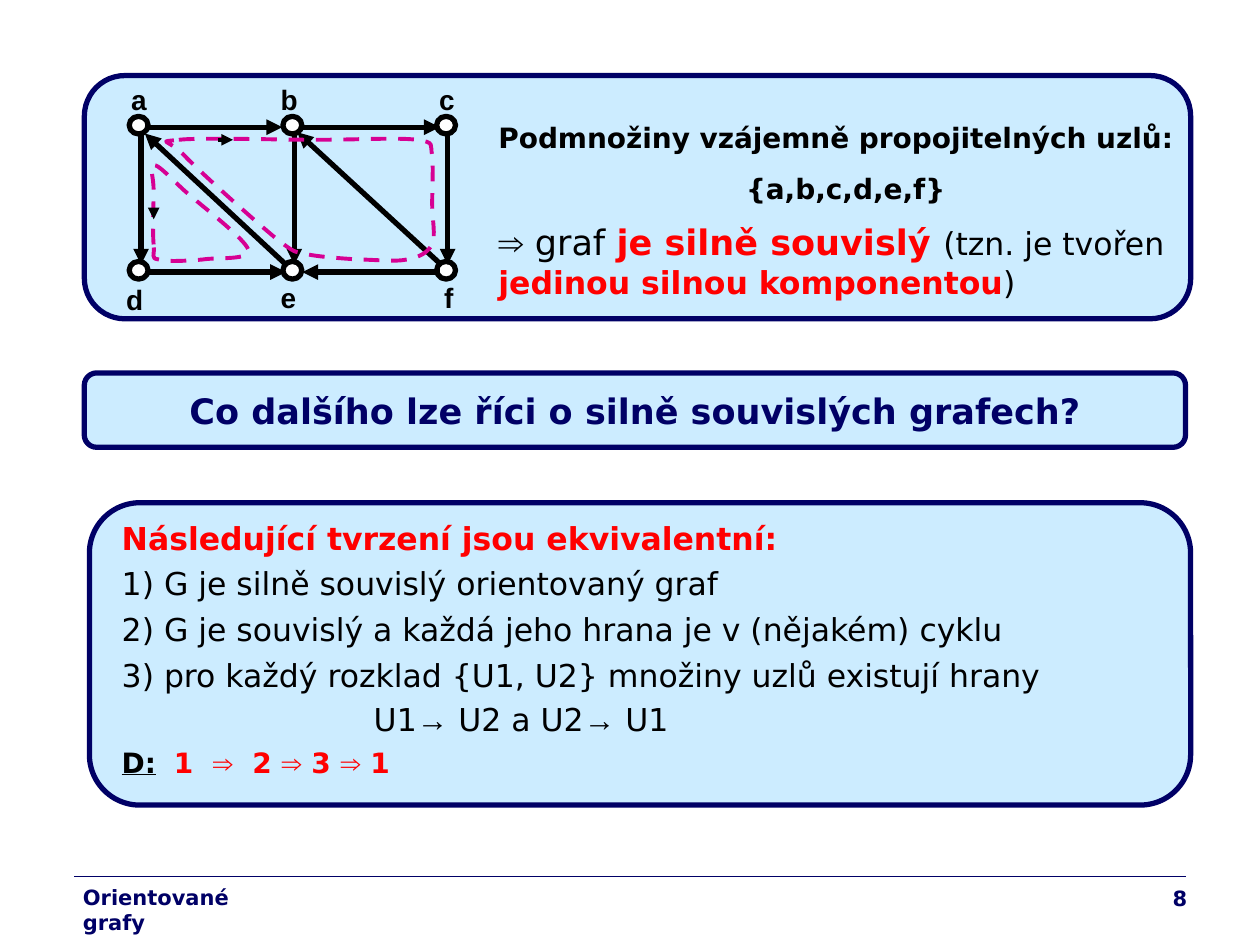
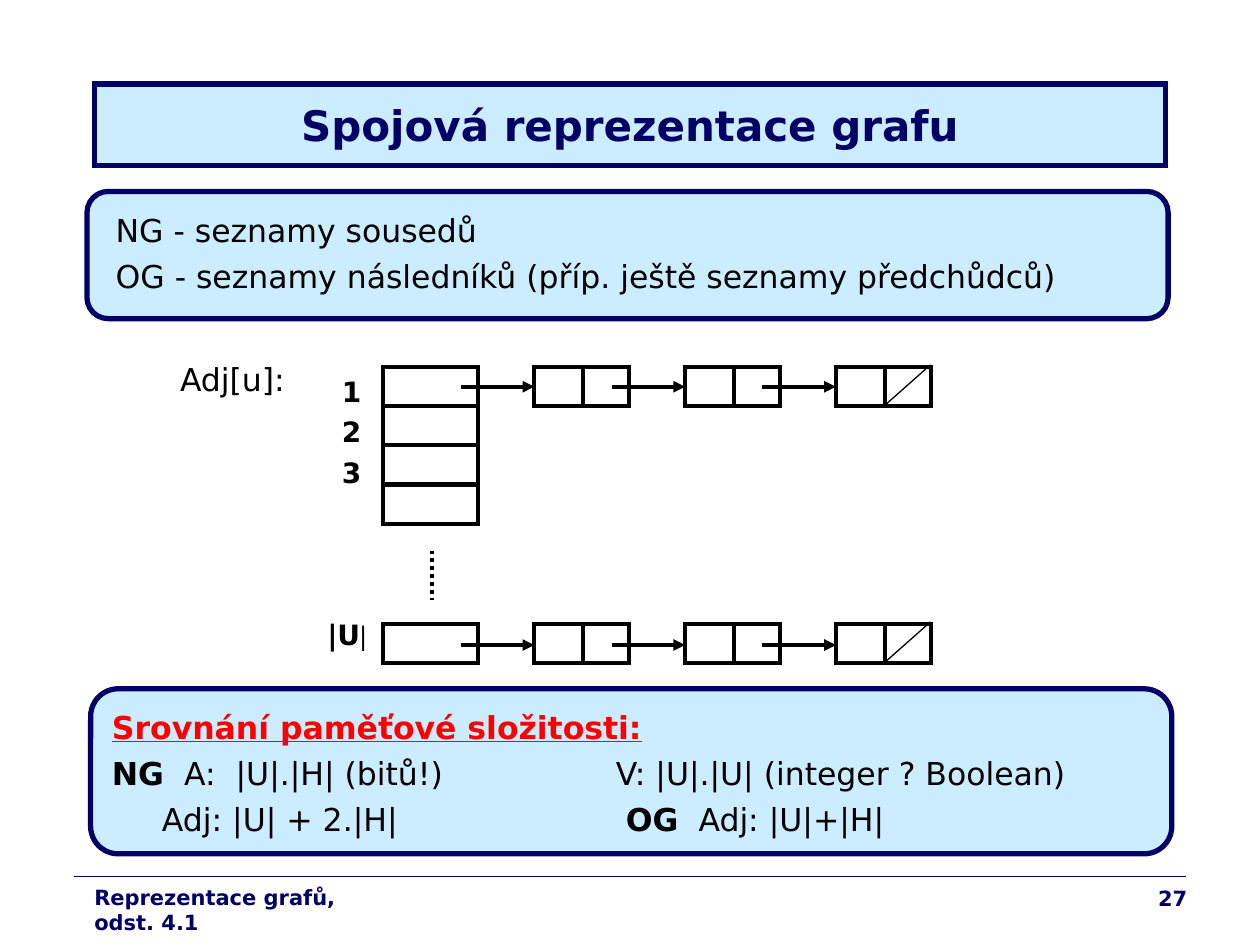
import pptx
import pptx.dml.color
import pptx.enum.dml
import pptx.enum.shapes
import pptx.enum.text
import pptx.oxml.ns
import pptx.util
from lxml import etree

Pt = pptx.util.Pt
PRESET = pptx.enum.shapes.MSO_SHAPE
ALIGN = pptx.enum.text.PP_ALIGN
DASH = pptx.enum.dml.MSO_LINE
qn = pptx.oxml.ns.qn

COLORS = {"navy": "000066", "sky": "CCECFF", "black": "000000",
          "white": "FFFFFF", "red": "FF0000", "magenta": "D60093"}
RGB = {name: pptx.dml.color.RGBColor.from_string(code) for name, code in COLORS.items()}
SANS = "DejaVu Sans"

# Text formats
BODY = {"size": Pt(18), "name": SANS, "color": "black", "bold": False}
BOLD = {"bold": True}
RED = {"bold": True, "color": "red"}
ARIAL = {"name": "Arial"}
SMALL = {"size": Pt(16)}
FOOTER = {**BODY, "size": Pt(12), "color": "navy", "bold": True}


def write(slide, box, paragraphs, base=BODY):
    """Each paragraph: its runs (text, format), space before, alignment, tab stops."""
    frame = slide.shapes.add_textbox(*map(Pt, box)).text_frame
    frame.word_wrap = True
    for number, (runs, before, align, stops) in enumerate(paragraphs):
        paragraph = frame.add_paragraph() if number else frame.paragraphs[0]
        paragraph.space_before, paragraph.alignment = Pt(before), align
        if stops:
            tab_list = etree.SubElement(paragraph._p.get_or_add_pPr(), qn("a:tabLst"))
            for stop in stops:
                etree.SubElement(tab_list, qn("a:tab"), pos=str(Pt(stop)), algn="l")
        for text, changes in runs:
            run = paragraph.add_run()
            run.text = text
            for key, value in {**base, **changes}.items():
                if key == "color":
                    run.font.color.rgb = RGB[value]
                else:
                    setattr(run.font, key, value)


def draw_line(slide, ends, width=2.25, color="black", arrow=False, dash=None):
    line = slide.shapes.add_connector(pptx.enum.shapes.MSO_CONNECTOR.STRAIGHT, *map(Pt, ends))
    line.line.color.rgb = RGB[color]
    line.line.width = Pt(width)
    if dash:
        line.line.dash_style = dash
    if arrow:
        etree.SubElement(line.line._get_or_add_ln(), qn("a:tailEnd"), type="triangle")
    etree.SubElement(line._element.spPr, qn("a:effectLst"))
    return line


deck = pptx.Presentation()
deck.slide_width, deck.slide_height = Pt(720), Pt(540)
connectivity = deck.slides.add_slide(deck.slide_layouts[6])
adjacency = deck.slides.add_slide(deck.slide_layouts[5])

# Footer rule, moved to the slide master so that both slides share it
footer_rule = draw_line(connectivity, (42.5, 500.9, 677.5, 500.9), 0.75, "navy")
deck.slide_master.shapes._spTree.append(footer_rule._element)

# Grids: graph nodes a-f and the linked-list cells
node_boxes = [(73.8 + 87.85 * col, top, 10.8, 10.1) for top in (66.5, 149.4) for col in range(3)]
list_rows = ((209.5, 221), (356.4, 368.6))
cell_boxes = [(218.9 + 86.3 * col, top, 54.2, 22.3) for top, _ in list_rows for col in range(4)]
cell_boxes += [(218.9, 209.5 + 22.5 * row, 54.2, 22.3) for row in (1, 2, 3)]

# Outlined shapes: slide, preset, box, fill, outline, outline width
outlined = [(slide, PRESET.ROUNDED_RECTANGLE, box, "sky", "navy", 3) for slide, box in (
    (connectivity, (48.2, 43.2, 632.2, 139)),
    (connectivity, (48.2, 213.1, 629.3, 42.5)),
    (connectivity, (51.1, 287.3, 629.3, 172.8)),
    (adjacency, (49.7, 109.4, 617.8, 72.7)),
    (adjacency, (51.8, 393.6, 617.8, 94.3)),
)]
outlined += [(connectivity, PRESET.OVAL, box, "white", "black", 3) for box in node_boxes]
outlined += [(adjacency, PRESET.RECTANGLE, box, None, "black", 2.25) for box in cell_boxes]
for slide, preset, box, fill, outline, width in outlined:
    shape = slide.shapes.add_shape(preset, *map(Pt, box))
    shape.shadow.inherit = False
    if fill:
        shape.fill.solid()
        shape.fill.fore_color.rgb = RGB[fill]
    else:
        shape.fill.background()
    shape.line.color.rgb = RGB[outline]
    shape.line.width = Pt(width)
    if preset == PRESET.RECTANGLE:
        etree.SubElement(shape.line._get_or_add_ln(), qn("a:miter"), lim="800000")

# Footers
for slide, left, width, topic, page in (
    (connectivity, 40.3, 124.6, "Orientované grafy", "8"),
    (adjacency, 46.8, 187.9, "Reprezentace grafů, odst. 4.1", "27"),
):
    write(slide, (left, 501.8, width, 21.6), [([(topic, {})], 3, None, None)], FOOTER)
    write(slide, (535.7, 502.6, 149.8, 25.9), [([(page, {})], 0, ALIGN.RIGHT, None)], FOOTER)

# Graph edges
for ends in (
    (82.8, 72.7, 161.3, 72.7), (172.8, 72.7, 251.3, 72.7),
    (85, 155.5, 163.4, 155.5), (251.3, 155.5, 172.8, 155.5),
    *[(80.6 + 87.6 * col, 76.3, 80.6 + 87.6 * col, 151.2) for col in range(3)],
    (163.4, 151.2, 82.8, 76.3), (251.3, 150.5, 169.9, 75.6),
):
    draw_line(connectivity, ends, 3, arrow=True)

# Node labels
for name, left, top in (("a", 67.9, 43.5), ("b", 153.2, 43.5), ("c", 243.8, 43.5),
                        ("d", 65, 157.7), ("e", 153.2, 157), ("f", 246.7, 157)):
    write(connectivity, (left, top, 25.2, 26.6),
          [([(name, {**SMALL, **ARIAL, **BOLD})], 10, None, None)])

# Dashed cycles: a start point, then Bézier curves (two controls and an end)
cycles = (
    ((102.2, 79.9), (
        (114.5, 78.5, 158.4, 79.9, 181.4, 79.9), (203.8, 79.9, 227.5, 78.5, 238.3, 79.9),
        (249.1, 81.4, 245.5, 82.8, 247, 88.6), (247.7, 95, 247, 108.7, 247, 116.6),
        (247, 125.3, 249.1, 134.6, 247, 139.7), (244.1, 144.7, 239.8, 146.9, 232.6, 148.3),
        (225.4, 149.8, 213.8, 148.3, 204.5, 148.3), (194.4, 147.6, 183.6, 146.9, 175.7, 145.4),
        (168.5, 143.3, 170.6, 146.2, 158.4, 136.8), (146.9, 127.4, 113.8, 97.9, 105.1, 88.6),
        (95.8, 79.2, 89.3, 81.4, 102.2, 79.9))),
    ((87.8, 139.7), (
        (87.1, 133.2, 87.8, 115.9, 87.8, 108.7), (87.8, 100.8, 85, 94.3, 87.8, 94.3),
        (90.7, 94.3, 95.8, 100.1, 105.1, 108.7), (113.8, 116.6, 139.7, 136.1, 141.8, 142.6),
        (143.3, 149, 124.6, 146.9, 115.9, 148.3), (108, 149, 95, 149.8, 90.7, 148.3),
        (85.7, 147.6, 88.6, 146.2, 87.8, 139.7))),
)
for start, curves in cycles:
    outline = connectivity.shapes.build_freeform(*map(Pt, start))
    outline.add_line_segments([(Pt(curve[i]), Pt(curve[i + 1]))
                               for curve in curves for i in (0, 2, 4)], close=True)
    cycle = outline.convert_to_shape()
    # Every three straight segments become one curve
    segments = list(cycle._element.iter(qn("a:lnTo")))
    for first, second, third in zip(segments[::3], segments[1::3], segments[2::3]):
        curve = etree.Element(qn("a:cubicBezTo"))
        first.addprevious(curve)
        for segment in (first, second, third):
            curve.append(segment[0])
            segment.getparent().remove(segment)
    cycle.shadow.inherit = False
    cycle.fill.background()
    cycle.line.color.rgb = RGB["magenta"]
    cycle.line.width = Pt(2.25)
    cycle.line.dash_style = DASH.DASH
for ends in ((87.8, 119.5, 87.8, 125.3), (124.6, 79.9, 133.2, 79.9)):
    draw_line(connectivity, ends, arrow=True)

# Strong connectivity texts
write(connectivity, (277.7, 65.1, 411.1, 110.2), [
    ([("Podmnožiny vzájemně propojitelných uzlů:", {**SMALL, **BOLD})], 10, None, None),
    ([("{a,b,c,d,e,f}", {**SMALL, **BOLD})], 10, ALIGN.CENTER, None),
    ([("⇒", {**ARIAL, "size": Pt(20)}), (" graf ", {"size": Pt(20)}),
      ("je silně souvislý ", {**RED, "size": Pt(20)}), ("(tzn. je tvořen ", {}),
      ("jedinou silnou komponentou", RED), (")", {})], 9, None, None),
])
write(connectivity, (59.5, 218.9, 607, 31.7), [
    ([("Co dalšího lze říci o silně souvislých grafech?",
       {"size": Pt(20), "color": "navy", "bold": True})], 12.5, ALIGN.CENTER, None),
])
proof = {**SMALL, **RED}
implies = ("⇒", {**proof, **ARIAL})
write(connectivity, (62.5, 292.8, 607, 156.2), [
    ([("Následující tvrzení jsou ekvivalentní:", RED)], 4.5, None, None),
    *[([(claim, {})], 4.5, None, None) for claim in (
        "1) G je silně souvislý orientovaný graf",
        "2) G je souvislý a každá jeho hrana je v (nějakém) cyklu",
        "3) pro každý rozklad {U1, U2} množiny uzlů existují hrany")],
    ([("\t\tU1", {}), ("→", ARIAL), (" U2 a U2", {}), ("→", ARIAL), (" U1", {})],
     4, None, (72, 144)),
    ([("D:", {**SMALL, **BOLD, "underline": True}), ("  ", SMALL), ("1  ", proof), implies,
      ("  2 ", proof), implies, (" 3 ", proof), implies, (" 1", proof)], 4, None, None),
])

# Title of the adjacency slide
title = adjacency.shapes.title
for key, value in {"left": 54, "top": 48, "width": 612, "height": 46.8}.items():
    setattr(title, key, Pt(value))
title.fill.solid()
title.fill.fore_color.rgb = RGB["sky"]
title.line.color.rgb = RGB["navy"]
title.line.width = Pt(3)
etree.SubElement(title.line._get_or_add_ln(), qn("a:miter"), lim="800000")
title.text_frame.text = "Spojová reprezentace grafu"
title.text_frame.vertical_anchor = pptx.enum.text.MSO_ANCHOR.MIDDLE
title.text_frame.paragraphs[0].alignment = ALIGN.CENTER
title_font = title.text_frame.paragraphs[0].runs[0].font
for key, value in {"size": Pt(24), "name": SANS, "bold": True}.items():
    setattr(title_font, key, value)
title_font.color.rgb = RGB["navy"]

# Linked lists: pointers, cell dividers and the closing slash
for top, middle in list_rows:
    bottom = top + 22.3
    for col in range(3):
        shift = 86.2 * col
        draw_line(adjacency, (263.3 + shift, middle, 305.3 + shift, middle), arrow=True)
        draw_line(adjacency, (333.2 + shift, top, 333.2 + shift, bottom))
    draw_line(adjacency, (505.4, bottom, 531.7, top - 1), 0.75)
draw_line(adjacency, (247, 314.6, 247, 342.7), dash=DASH.ROUND_DOT)

# Linked list labels
index = {**SMALL, **BOLD}
write(adjacency, (171.9, 210.4, 52.6, 165.6), [
    *[([(f" {row}", index)], 4, ALIGN.CENTER, None) for row in (1, 2, 3)],
    ([("|U", index), ("|", {**index, "name": "Times New Roman"})], 73.3, ALIGN.CENTER, None),
])
write(adjacency, (95.8, 202.3, 97.9, 28.8), [([("Adj[u]:", {})], 11.2, None, None)])

# Adjacency panels
write(adjacency, (59, 117.1, 603.4, 55.4), [([(text, {})], 4.5, None, None) for text in (
    "NG - seznamy sousedů",
    "OG - seznamy následníků (příp. ještě seznamy předchůdců)")])
columns = (28.6, 288)
write(adjacency, (56.9, 401.3, 609.8, 81.4), [
    ([("Srovnání paměťové složitosti:", {**RED, "underline": True})], 4.5, None, None),
    ([("NG", BOLD), ("  A:  |U|.|H| (bitů!)\tV: |U|.|U| (integer ? Boolean)", {})],
     4.5, None, columns),
    ([("\tAdj: |U| + 2.|H|\t ", {}), ("OG", BOLD), ("  Adj: |U|+|H|", {})],
     4.5, None, columns),
])

deck.save("out.pptx")
